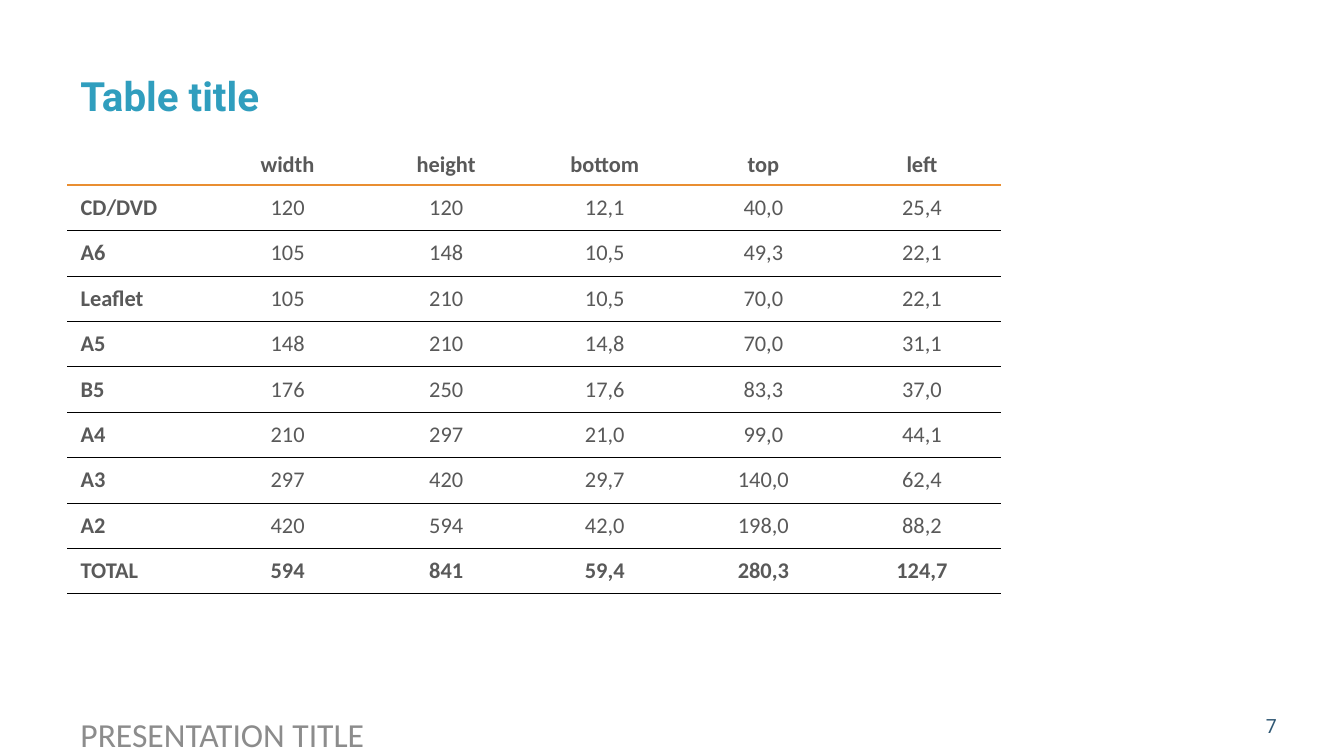
from dataclasses import dataclass

from lxml.etree import SubElement
from pptx import Presentation
from pptx.dml.color import RGBColor
from pptx.enum.text import MSO_ANCHOR, PP_ALIGN
from pptx.oxml.ns import qn
from pptx.util import Inches, Pt


@dataclass(frozen=True)
class Theme:
    heading_font: str = "Roboto"
    body_font: str = "Calibri"
    title_color: str = "309EBE"
    table_color: str = "595959"
    footer_color: str = "8C8C8C"
    number_color: str = "2F5773"
    accent_rule: str = "E98E31"
    row_rule: str = "000000"
    title_size: float = 21.6
    table_size: float = 12
    footer_size: float = 18
    number_size: float = 10.5


theme = Theme()


def style(paragraph, font, size, color, bold=False, align=PP_ALIGN.LEFT):
    paragraph.alignment = align
    paragraph.font.name = font
    paragraph.font.size = Pt(size)
    paragraph.font.color.rgb = RGBColor.from_string(color)
    paragraph.font.bold = bold


def add_rule(cell, side, color, width):
    line = SubElement(cell._tc.get_or_add_tcPr(), qn(f"a:{side}"), w=str(Pt(width)))
    SubElement(SubElement(line, qn("a:solidFill")), qn("a:srgbClr"), val=color)


# 16:9 page
prs = Presentation()
prs.slide_width = Inches(10)
prs.slide_height = Inches(10 * 9 / 16)
slide = prs.slides.add_slide(prs.slide_layouts[6])

# Title, footer and slide number
captions = [
    ("Table title", (0.5, 0.48, 7.43, 0.46), 0.1, MSO_ANCHOR.MIDDLE,
     (theme.heading_font, theme.title_size, theme.title_color, True)),
    ("PRESENTATION TITLE", (0.5, 5.26, 5.38, 0.18), 0.1, MSO_ANCHOR.TOP,
     (theme.body_font, theme.footer_size, theme.footer_color)),
    ("7", (8.5, 5.26, 1, 0.18), 0, MSO_ANCHOR.TOP,
     (theme.heading_font, theme.number_size, theme.number_color, False, PP_ALIGN.RIGHT)),
]
for wording, place, side_inset, anchor, look in captions:
    caption = slide.shapes.add_textbox(*map(Inches, place)).text_frame
    caption.word_wrap = True
    caption.vertical_anchor = anchor
    caption.margin_left = caption.margin_right = Inches(side_inset)
    caption.text = wording
    style(caption.paragraphs[0], *look)

# Paper formats table
formats = [
    ("", "width", "height", "bottom", "top", "left"),
    ("CD/DVD", "120", "120", "12,1", "40,0", "25,4"),
    ("A6", "105", "148", "10,5", "49,3", "22,1"),
    ("Leaflet", "105", "210", "10,5", "70,0", "22,1"),
    ("A5", "148", "210", "14,8", "70,0", "31,1"),
    ("B5", "176", "250", "17,6", "83,3", "37,0"),
    ("A4", "210", "297", "21,0", "99,0", "44,1"),
    ("A3", "297", "420", "29,7", "140,0", "62,4"),
    ("A2", "420", "594", "42,0", "198,0", "88,2"),
    ("TOTAL", "594", "841", "59,4", "280,3", "124,7"),
]
last = len(formats) - 1
table = slide.shapes.add_table(
    len(formats), len(formats[0]), Inches(0.5), Inches(1.04), Inches(6.95), Inches(3.38)
).table
table.first_row = table.horz_banding = False
# "No Style, No Grid"
table._tbl.tblPr.find(qn("a:tableStyleId")).text = "{2D5ABB26-0587-4C30-8999-92F81FD0307C}"
for c, column in enumerate(table.columns):
    column.width = Inches(1.18 if c else 1.05)

for r, values in enumerate(formats):
    for c, value in enumerate(values):
        cell = table.cell(r, c)
        cell.text = value
        cell.vertical_anchor = MSO_ANCHOR.MIDDLE if r else MSO_ANCHOR.BOTTOM
        style(cell.text_frame.paragraphs[0], theme.body_font, theme.table_size,
              theme.table_color, bold=c == 0 or r in (0, last),
              align=PP_ALIGN.CENTER if c else PP_ALIGN.LEFT)
        # Orange rule under the header, thin black rules under the rest
        accent, thin = (theme.accent_rule, 1.5), (theme.row_rule, 0.5)
        if r:
            add_rule(cell, "lnT", *(accent if r == 1 else thin))
        add_rule(cell, "lnB", *(thin if r else accent))
        cell.fill.background()

prs.save("out.pptx")
